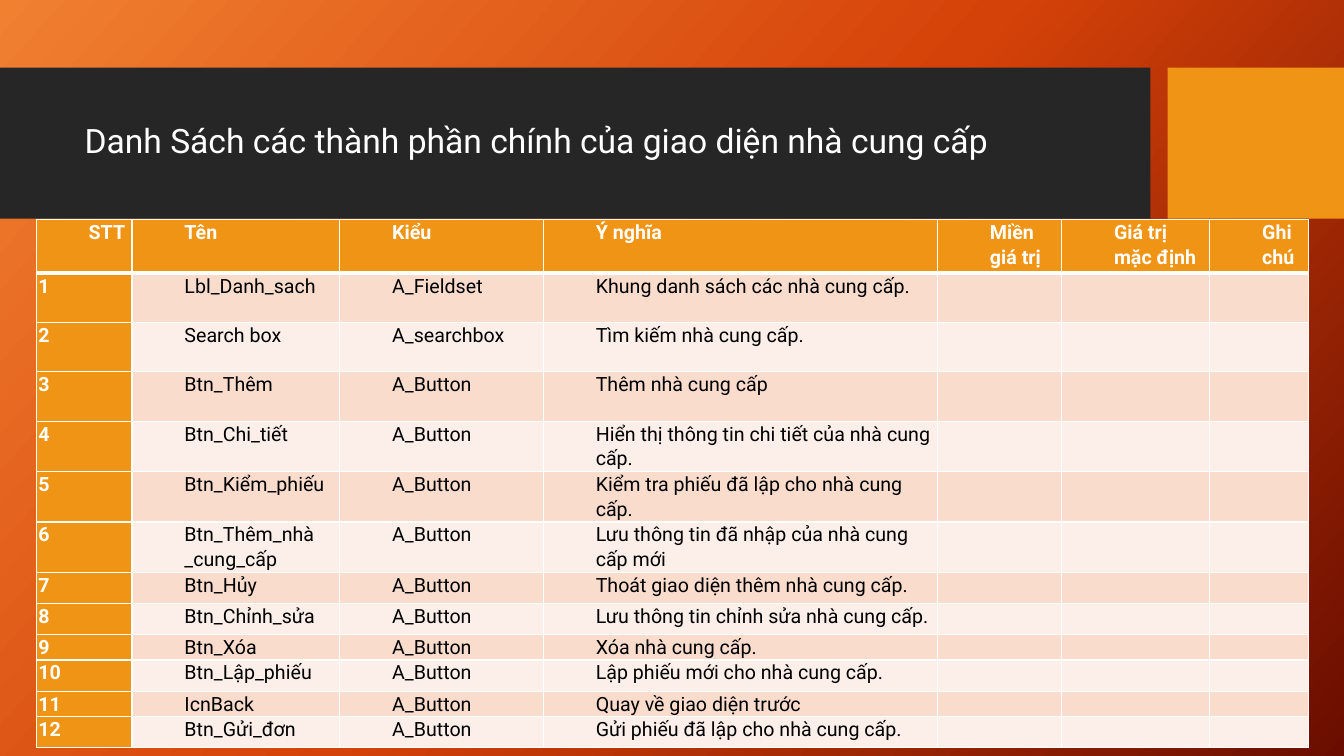
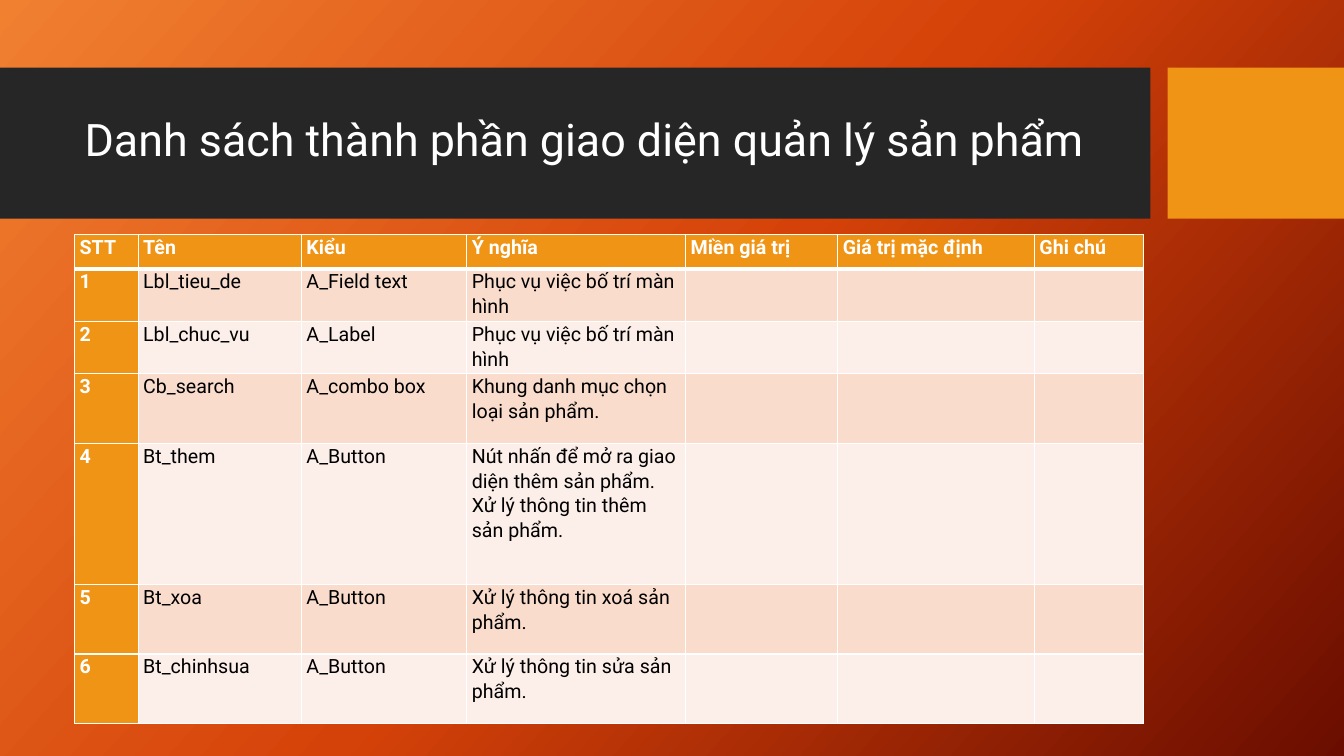
from copy import deepcopy

from lxml import etree
from pptx import Presentation
from pptx.dml.color import RGBColor
from pptx.enum.shapes import MSO_SHAPE
from pptx.enum.text import MSO_ANCHOR
from pptx.oxml.ns import qn
from pptx.util import Inches, Pt

RECTANGLE = MSO_SHAPE.RECTANGLE
MIDDLE = MSO_ANCHOR.MIDDLE

# Shared look
FONT = "Roboto"
WHITE, BLACK = "FFFFFF", "000000"
BAND_DARK, ACCENT = "262626", "F09415"
ROW_TINTS = ("F9DCCC", "FCEEE8")
BACKDROP = ((0, "F18031"), (0.5, "D54209"), (1, "6A0D00"))
BACKDROP_ANGLE = 42
BAND_TOP, BAND_HEIGHT = 0.67, 1.5
BODY_SIZE = 14
THIN, THICK = 1, 3

HEADINGS = ("STT", "Tên", "Kiểu", "Ý nghĩa", "Miền giá trị", "Giá trị mặc định", "Ghi chú")

# Component lists: name, type, meaning
SUPPLIER_PARTS = (
    ("Lbl_Danh_sach", "A_Fieldset", "Khung danh sách các nhà cung cấp."),
    ("Search box", "A_searchbox", "Tìm kiếm nhà cung cấp."),
    ("Btn_Thêm", "A_Button", "Thêm nhà cung cấp"),
    ("Btn_Chi_tiết", "A_Button", "Hiển thị thông tin chi tiết của nhà cung cấp."),
    ("Btn_Kiểm_phiếu", "A_Button", "Kiểm tra phiếu đã lập cho nhà cung cấp."),
    ("Btn_Thêm_nhà _cung_cấp", "A_Button", "Lưu thông tin đã nhập của nhà cung cấp mới"),
    ("Btn_Hủy", "A_Button", "Thoát giao diện thêm nhà cung cấp."),
    ("Btn_Chỉnh_sửa", "A_Button", "Lưu thông tin chỉnh sửa nhà cung cấp."),
    ("Btn_Xóa", "A_Button", "Xóa nhà cung cấp."),
    ("Btn_Lập_phiếu", "A_Button", "Lập phiếu mới cho nhà cung cấp."),
    ("IcnBack", "A_Button", "Quay về giao diện trước"),
    ("Btn_Gửi_đơn", "A_Button", "Gửi phiếu đã lập cho nhà cung cấp."),
)
PRODUCT_PARTS = (
    ("Lbl_tieu_de", "A_Field text", "Phục vụ việc bố trí màn hình"),
    ("Lbl_chuc_vu", "A_Label", "Phục vụ việc bố trí màn hình"),
    ("Cb_search", "A_combo box", "Khung danh mục chọn loại sản phẩm."),
    ("Bt_them", "A_Button",
     "Nút nhấn để mở ra giao diện thêm sản phẩm. Xử lý thông tin thêm sản phẩm."),
    ("Bt_xoa", "A_Button", "Xử lý thông tin xoá sản phẩm."),
    ("Bt_chinhsua", "A_Button", "Xử lý thông tin sửa sản phẩm."),
)


def color(hex_code):
    return RGBColor.from_string(hex_code)


def set_backdrop(master):
    """Give every slide the three-colour gradient."""
    fill = master.background.fill
    fill.gradient()
    fill.gradient_angle = 360 - BACKDROP_ANGLE
    stop_list = master.element.find(".//" + qn("a:gsLst"))
    stop_list.append(deepcopy(stop_list[-1]))
    for stop, (position, hex_code) in zip(fill.gradient_stops, BACKDROP):
        stop.position = position
        stop.color.rgb = color(hex_code)


def add_band(slide, left, width, hex_code):
    band = slide.shapes.add_shape(RECTANGLE, Inches(left), Inches(BAND_TOP),
                                  Inches(width), Inches(BAND_HEIGHT))
    band.shadow.inherit = False
    band.fill.solid()
    band.fill.fore_color.rgb = color(hex_code)
    band.line.fill.background()


def format_text(paragraph, size, hex_code, bold=False):
    for run in paragraph.runs:
        run.font.name = FONT
        run.font.size = Pt(size)
        run.font.bold = bold
        run.font.color.rgb = color(hex_code)


def add_title(slide, text, size):
    title = slide.shapes.add_textbox(Inches(0.74), Inches(0.82), Inches(10.51), Inches(1.18))
    frame = title.text_frame
    frame.word_wrap = True
    frame.vertical_anchor = MIDDLE
    frame.text = text
    frame.paragraphs[0].line_spacing = 0.9
    format_text(frame.paragraphs[0], size, WHITE)


def add_titled_slide(prs, title, size):
    slide = prs.slides.add_slide(prs.slide_layouts[6])
    add_band(slide, 0, 11.41, BAND_DARK)
    add_band(slide, 11.58, 1.75, ACCENT)
    add_title(slide, title, size)
    return slide


def set_borders(cell, top, bottom):
    properties = cell._tc.get_or_add_tcPr()
    for side, width in (("L", THIN), ("R", THIN), ("T", top), ("B", bottom)):
        line = etree.SubElement(properties, qn(f"a:ln{side}"), w=str(Pt(width)))
        solid = etree.SubElement(line, qn("a:solidFill"))
        etree.SubElement(solid, qn("a:srgbClr"), val=WHITE)


def fill_cell(cell, text, row, column, inset, indent):
    is_header = row == 0
    is_accent = is_header or column == 0
    set_borders(cell, THICK if row == 1 else THIN, THICK if is_header else THIN)
    cell.fill.solid()
    cell.fill.fore_color.rgb = color(ACCENT if is_accent else ROW_TINTS[(row - 1) % 2])
    cell.margin_left = cell.margin_right = Inches(inset)
    cell.margin_top = cell.margin_bottom = 0

    paragraph = cell.text_frame.paragraphs[0]
    paragraph.text = text
    paragraph.line_spacing = 1.07
    if indent and (is_header or column > 0):
        paragraph._p.get_or_add_pPr().set("marL", str(Inches(indent)))
    format_text(paragraph, BODY_SIZE, WHITE if is_accent else BLACK, is_accent)
    if not text:  # keeps empty cells from stretching their row
        etree.SubElement(paragraph._p, qn("a:endParaRPr"), sz=str(BODY_SIZE * 100))


def add_component_table(slide, left, top, widths, heights, parts, inset, indent=0):
    rows = [HEADINGS]
    rows += [(str(number), *part, "", "", "") for number, part in enumerate(parts, 1)]
    table = slide.shapes.add_table(len(rows), len(widths), Inches(left), Inches(top),
                                   Inches(sum(widths)), Inches(sum(heights))).table
    for column, width in zip(table.columns, widths):
        column.width = Inches(width)
    for row, height in zip(table.rows, heights):
        row.height = Inches(height)
    for r, texts in enumerate(rows):
        for c, text in enumerate(texts):
            fill_cell(table.cell(r, c), text, r, c, inset, indent)


def main():
    prs = Presentation()
    prs.slide_width, prs.slide_height = Inches(13.33), Inches(7.5)
    set_backdrop(prs.slide_master)

    # Supplier screen
    supplier = add_titled_slide(
        prs, "Danh Sách các thành phần chính của giao diện nhà cung cấp", 24)
    add_component_table(
        supplier, 0.36, 2.18,
        widths=(0.95, 2.06, 2.02, 3.91, 1.23, 1.47, 0.98),
        heights=(0.53, *[0.49] * 6, 0.31, 0.31, 0.25, 0.31, 0.25, 0.31),
        parts=SUPPLIER_PARTS, inset=0.02, indent=0.5)

    # Product management screen
    product = add_titled_slide(prs, "Danh sách thành phần giao diện quản lý sản phẩm", 32)
    add_component_table(
        product, 0.74, 2.33,
        widths=(0.63, 1.62, 1.64, 2.17, 1.51, 1.95, 1.08),
        heights=(0.34, 0.52, 0.52, 0.69, 1.4, 0.69, 0.69),
        parts=PRODUCT_PARTS, inset=0.05)

    prs.save("out.pptx")


if __name__ == "__main__":
    main()
